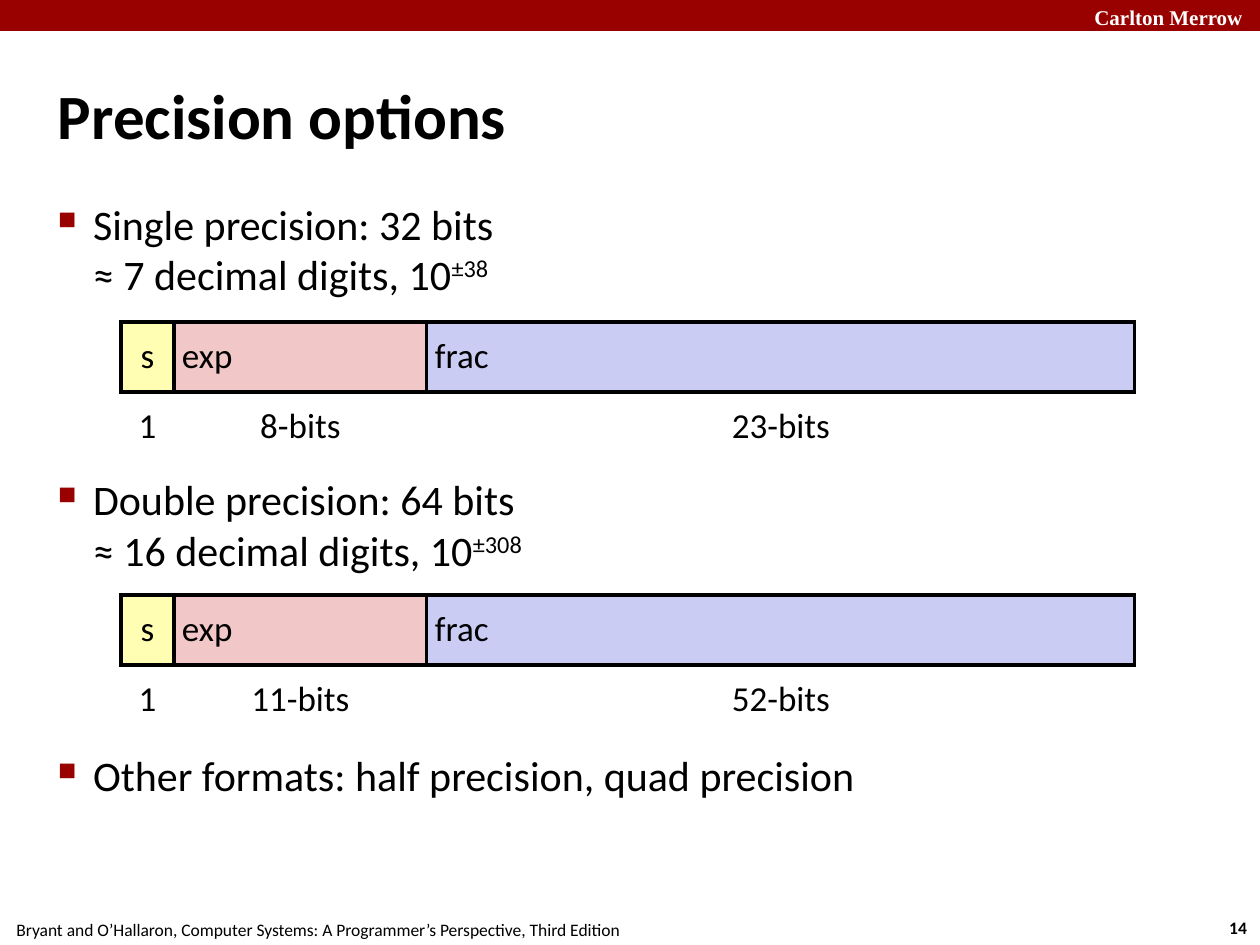
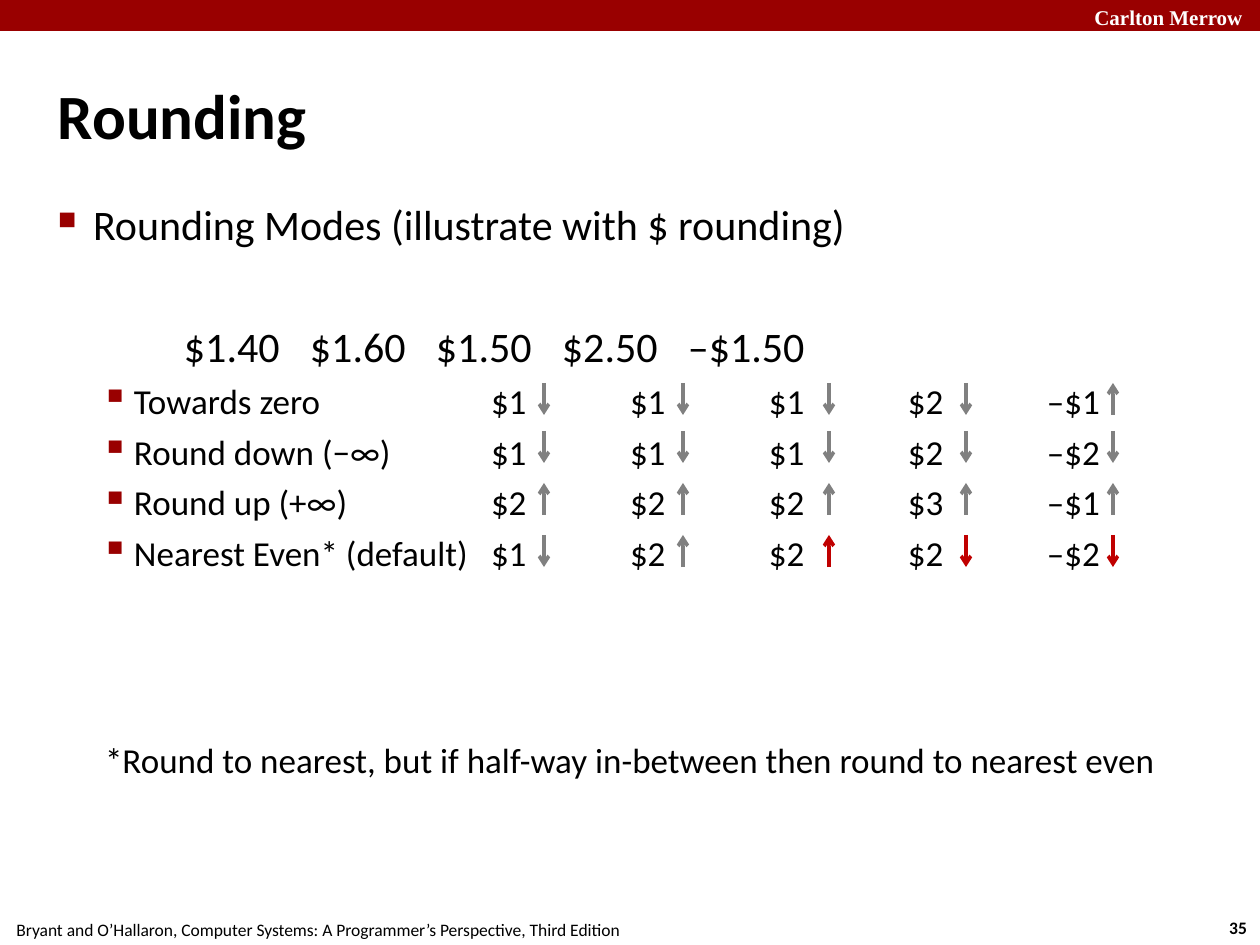
from dataclasses import dataclass

from lxml import etree
from pptx import Presentation
from pptx.dml.color import RGBColor
from pptx.enum.shapes import MSO_CONNECTOR, MSO_SHAPE
from pptx.enum.text import MSO_ANCHOR, MSO_AUTO_SIZE, PP_ALIGN
from pptx.oxml.ns import qn
from pptx.util import Emu, Pt

RECTANGLE, STRAIGHT = MSO_SHAPE.RECTANGLE, MSO_CONNECTOR.STRAIGHT
LEFT, CENTER = PP_ALIGN.LEFT, PP_ALIGN.CENTER
TOP, MIDDLE = MSO_ANCHOR.TOP, MSO_ANCHOR.MIDDLE
FIXED, GROW = MSO_AUTO_SIZE.NONE, MSO_AUTO_SIZE.SHAPE_TO_FIT_TEXT
TITLE_ONLY = 5
PX_PER_INCH = 126
SLIDE_W, SLIDE_H = 1260, 945


@dataclass(frozen=True)
class Theme:
    font: str = "Calibri"
    band_font: str = "Times New Roman"
    ink: str = "000000"
    paper: str = "FFFFFF"
    crimson: str = "990000"
    sign: str = "FFFEB2"
    exponent: str = "F1C7C7"
    fraction: str = "CBCCF3"
    arrow: str = "808080"
    tie_arrow: str = "C00000"
    title_size: int = 36
    body_size: int = 24
    detail_size: int = 20
    band_size: int = 12
    footer_size: int = 10
    rule_width: int = 2


THEME = Theme()
TITLE_BOX = (53, 35, 1155, 158)
BODY_LEFT, BODY_TOP, BODY_WIDTH = 53, 193, 1155
FOOTER = "Bryant and O’Hallaron, Computer Systems: A Programmer’s Perspective, Third Edition"
BAND_NAME = "Carlton Merrow"

BULLETS = {  # level: (character, size in percent, left margin, hanging indent)
    0: ("■", 60, 35, 35),
    1: ("▪", 110, 76, 33),
}

FIELD_WIDTHS = (53, 253, 708)
FIELD_NAMES = ("s", "exp", "frac")
FIELD_FILLS = (THEME.sign, THEME.exponent, THEME.fraction)
FIELD_ALIGNS = (CENTER, LEFT, LEFT)
FIELD_ROW_HEIGHT = 70

AMOUNTS = ("$1.40", "$1.60", "$1.50", "$2.50", "–$1.50")
TIE_COLUMNS = (2, 3, 4)
ROUNDING_MODES = (
    ("Towards zero", ("$1", "$1", "$1", "$2", "–$1"), "↓↓↓↓↑"),
    ("Round down (−∞)", ("$1", "$1", "$1", "$2", "–$2"), "↓↓↓↓↓"),
    ("Round up (+∞)", ("$2", "$2", "$2", "$3", "–$1"), "↑↑↑↑↑"),
    ("Nearest Even* (default)", ("$1", "$2", "$2", "$2", "–$2"), "↓↑↑↓↓"),
)
AMOUNT_TABS = [PX_PER_INCH * step for step in range(1, 6)]
RESULT_TABS = [433 + 139 * column for column in range(5)]
ARROW_COLUMNS = (491, 630, 776, 913, 1060)
ARROW_ROWS = (190, 238, 290, 342)
ARROW_LENGTH = 32


def px(length):
    return Emu(round(length * 914400 / PX_PER_INCH))


def rgb(color):
    return RGBColor.from_string(color)


def apply(target, settings):
    for attribute, value in settings.items():
        setattr(target, attribute, value)


def add_xml(parent, tag, **attributes):
    return etree.SubElement(parent, qn(tag), {key: str(value) for key, value in attributes.items()})


def insets(size):
    return {f"margin_{side}": px(size) for side in ("left", "top", "right", "bottom")}


def write(paragraph, text, size, color=THEME.ink, font=THEME.font, bold=False):
    run = paragraph.add_run()
    run.text = text
    apply(run.font, {"name": font, "size": Pt(size), "bold": bold})
    run.font.color.rgb = rgb(color)
    return run


def add_text_frame(slide, box, **settings):
    frame = slide.shapes.add_textbox(*map(px, box)).text_frame
    apply(frame, settings)
    return frame


def add_label(slide, box, text, size, align=CENTER, **style):
    """Add one unwrapped line of text."""
    frame = add_text_frame(slide, box, word_wrap=False, auto_size=GROW)
    frame.paragraphs[0].alignment = align
    write(frame.paragraphs[0], text, size, **style)


def add_band(slide):
    band = slide.shapes.add_shape(RECTANGLE, 0, 0, px(SLIDE_W), px(31))
    band.shadow.inherit = False
    band.fill.solid()
    band.fill.fore_color.rgb = rgb(THEME.crimson)
    band.line.fill.background()
    add_label(slide, (1082, -2, 175, 38), BAND_NAME, THEME.band_size, LEFT,
              color=THEME.paper, font=THEME.band_font, bold=True)


def add_footer(slide, number):
    add_label(slide, (1215, 911, 46, 34), number, THEME.footer_size, bold=True)
    add_label(slide, (-2, 913, 640, 34), FOOTER, THEME.footer_size)


def add_titled_slide(deck, title, number):
    slide = deck.slides.add_slide(deck.slide_layouts[TITLE_ONLY])
    add_band(slide)
    add_footer(slide, number)
    heading = slide.shapes.title
    apply(heading, dict(zip(("left", "top", "width", "height"), map(px, TITLE_BOX))))
    frame = heading.text_frame
    apply(frame, {"vertical_anchor": MIDDLE, "word_wrap": True, "auto_size": FIXED, **insets(5)})
    frame.paragraphs[0].alignment = LEFT
    write(frame.paragraphs[0], title, THEME.title_size, bold=True)
    return slide


def add_body(slide, height):
    box = (BODY_LEFT, BODY_TOP, BODY_WIDTH, height)
    return add_text_frame(slide, box, word_wrap=True, auto_size=FIXED,
                          vertical_anchor=TOP, **insets(5))


def next_paragraph(frame, space_before):
    first = frame.paragraphs[0]
    paragraph = frame.add_paragraph() if first.runs else first
    paragraph.space_before = Pt(space_before)
    return paragraph


def set_bullet(paragraph, level=0):
    character, percent, margin, hanging = BULLETS[level]
    paragraph.level = level
    properties = paragraph._p.get_or_add_pPr()
    properties.set("marL", str(px(margin)))
    properties.set("indent", str(px(-hanging)))
    add_xml(add_xml(properties, "a:buClr"), "a:srgbClr", val=THEME.crimson)
    add_xml(properties, "a:buSzPct", val=percent * 1000)
    add_xml(properties, "a:buChar", char=character)


def set_tabs(paragraph, stops):
    tabs = add_xml(paragraph._p.get_or_add_pPr(), "a:tabLst")
    for stop in stops:
        add_xml(tabs, "a:tab", pos=px(stop), algn="l")


def add_bullet(frame, text, space_before=6):
    paragraph = next_paragraph(frame, space_before)
    set_bullet(paragraph)
    write(paragraph, text, THEME.body_size)
    return paragraph


def add_precision(frame, heading, digits, exponent, space_before):
    paragraph = add_bullet(frame, heading, space_before)
    paragraph.add_line_break()
    write(paragraph, digits, THEME.body_size)
    power = write(paragraph, exponent, THEME.body_size)
    power._r.get_or_add_rPr().set("baseline", "30000")


def set_borders(cell, drawn_sides):
    """Rule the drawn sides (letters of LRTB) and clear the others."""
    properties = cell._tc.get_or_add_tcPr()
    for position, side in enumerate("LRTB"):
        line = etree.Element(qn(f"a:ln{side}"), w=str(Pt(THEME.rule_width)))
        if side in drawn_sides:
            add_xml(add_xml(line, "a:solidFill"), "a:srgbClr", val=THEME.ink)
        else:
            add_xml(line, "a:noFill")
        properties.insert(position, line)


def fill_cell(cell, text, align, fill, borders):
    apply(cell, {"vertical_anchor": MIDDLE, **insets(8)})
    if fill:
        cell.fill.solid()
        cell.fill.fore_color.rgb = rgb(fill)
    else:
        cell.fill.background()
    set_borders(cell, borders)
    paragraph = cell.text_frame.paragraphs[0]
    paragraph.alignment = align
    write(paragraph, text, THEME.detail_size)


def add_bit_layout(slide, left, top, bit_counts):
    """Add the row of number fields with their widths in bits below."""
    table = slide.shapes.add_table(2, len(FIELD_NAMES), px(left), px(top),
                                   px(sum(FIELD_WIDTHS)), px(2 * FIELD_ROW_HEIGHT)).table
    apply(table, {"first_row": False, "horz_banding": False})
    for row in table.rows:
        row.height = px(FIELD_ROW_HEIGHT)
    fields = zip(FIELD_WIDTHS, FIELD_NAMES, FIELD_ALIGNS, FIELD_FILLS, bit_counts)
    for column, (width, name, align, fill, bits) in enumerate(fields):
        table.columns[column].width = px(width)
        fill_cell(table.cell(0, column), name, align, fill, "LRTB")
        fill_cell(table.cell(1, column), bits, CENTER, None, "T")


def add_arrow(slide, x, top, direction, color):
    ends = (top, top + ARROW_LENGTH)
    start, tip = ends if direction == "↓" else reversed(ends)
    arrow = slide.shapes.add_connector(STRAIGHT, px(x), px(start), px(x), px(tip))
    arrow.line.color.rgb = rgb(color)
    arrow.line.width = Pt(THEME.rule_width)
    add_xml(arrow.line._get_or_add_ln(), "a:tailEnd", type="arrow")
    add_xml(arrow._element.spPr, "a:effectLst")


def add_rounding_table(slide, frame):
    """Add the amounts, the tabbed results and an arrow after each result."""
    amounts = next_paragraph(frame, 41)
    set_tabs(amounts, AMOUNT_TABS)
    write(amounts, "\t" + "\t".join(AMOUNTS), THEME.body_size)
    for row, (mode, results, directions) in enumerate(ROUNDING_MODES):
        paragraph = next_paragraph(frame, 5)
        set_bullet(paragraph, 1)
        set_tabs(paragraph, RESULT_TABS)
        write(paragraph, "\t".join((mode, *results)), THEME.detail_size)
        is_nearest_even = row == len(ROUNDING_MODES) - 1
        for column, direction in enumerate(directions):
            is_tie = is_nearest_even and column in TIE_COLUMNS
            add_arrow(slide, BODY_LEFT + ARROW_COLUMNS[column], BODY_TOP + ARROW_ROWS[row],
                      direction, THEME.tie_arrow if is_tie else THEME.arrow)


def build_precision_slide(deck):
    slide = add_titled_slide(deck, "Precision options", "14")
    body = add_body(slide, 748)
    add_precision(body, "Single precision: 32 bits", "≈ 7 decimal digits, 10", "±38", 6)
    add_precision(body, "Double precision: 64 bits", "≈ 16 decimal digits, 10", "±308", 100)
    add_bullet(body, "Other formats: half precision, quad precision", 100)
    add_bit_layout(slide, 121, 322, ("1", "8-bits", "23-bits"))
    add_bit_layout(slide, 121, 595, ("1", "11-bits", "52-bits"))


def build_rounding_slide(deck):
    slide = add_titled_slide(deck, "Rounding", "35")
    body = add_body(slide, 437)
    add_bullet(body, "Rounding Modes (illustrate with $ rounding)")
    add_rounding_table(slide, body)
    add_label(slide, (84, 732, 1092, 55),
              "*Round to nearest, but if half-way in-between then round to nearest even",
              THEME.detail_size)


def main():
    deck = Presentation()
    apply(deck, {"slide_width": px(SLIDE_W), "slide_height": px(SLIDE_H)})
    build_precision_slide(deck)
    build_rounding_slide(deck)
    deck.save("out.pptx")


if __name__ == "__main__":
    main()
